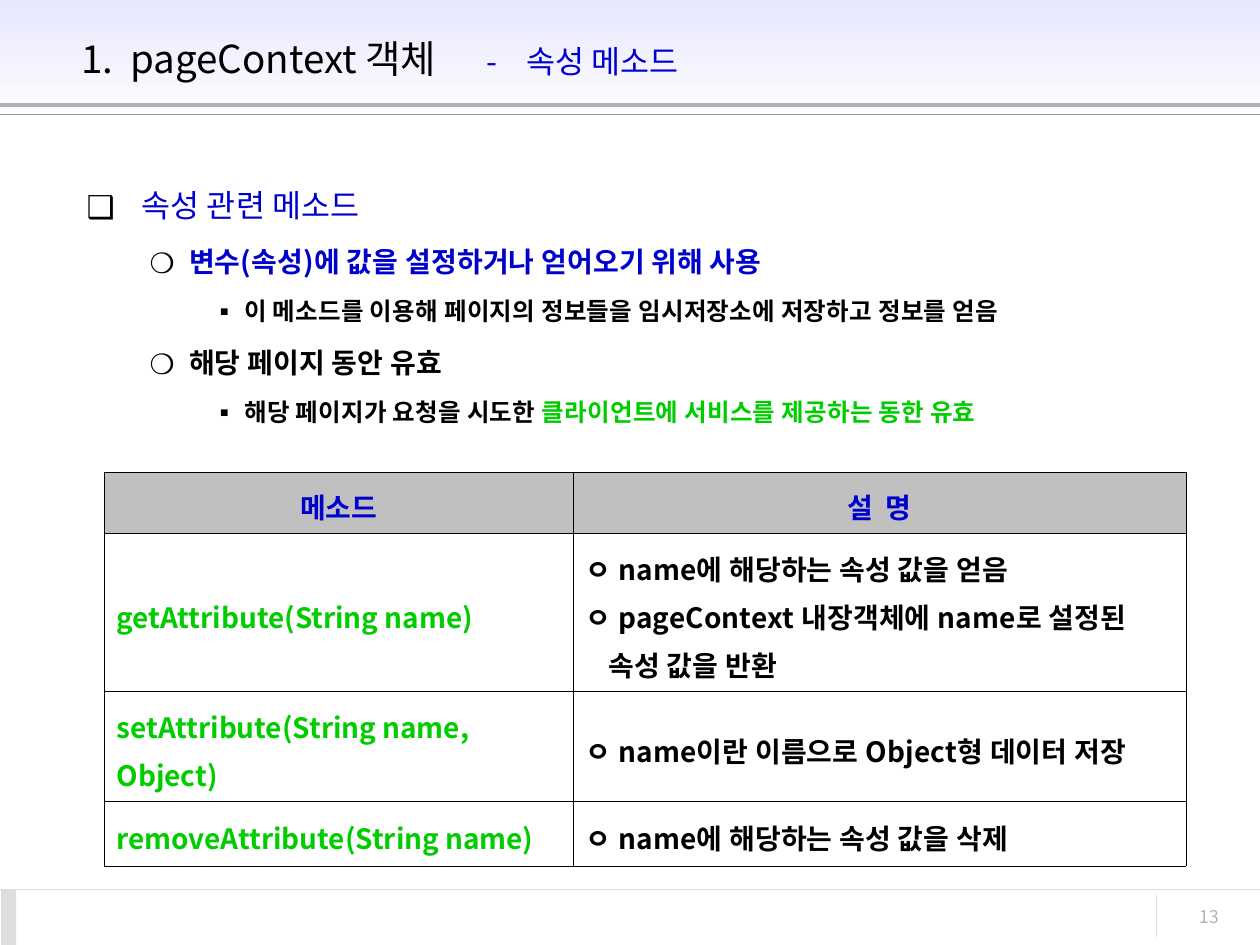
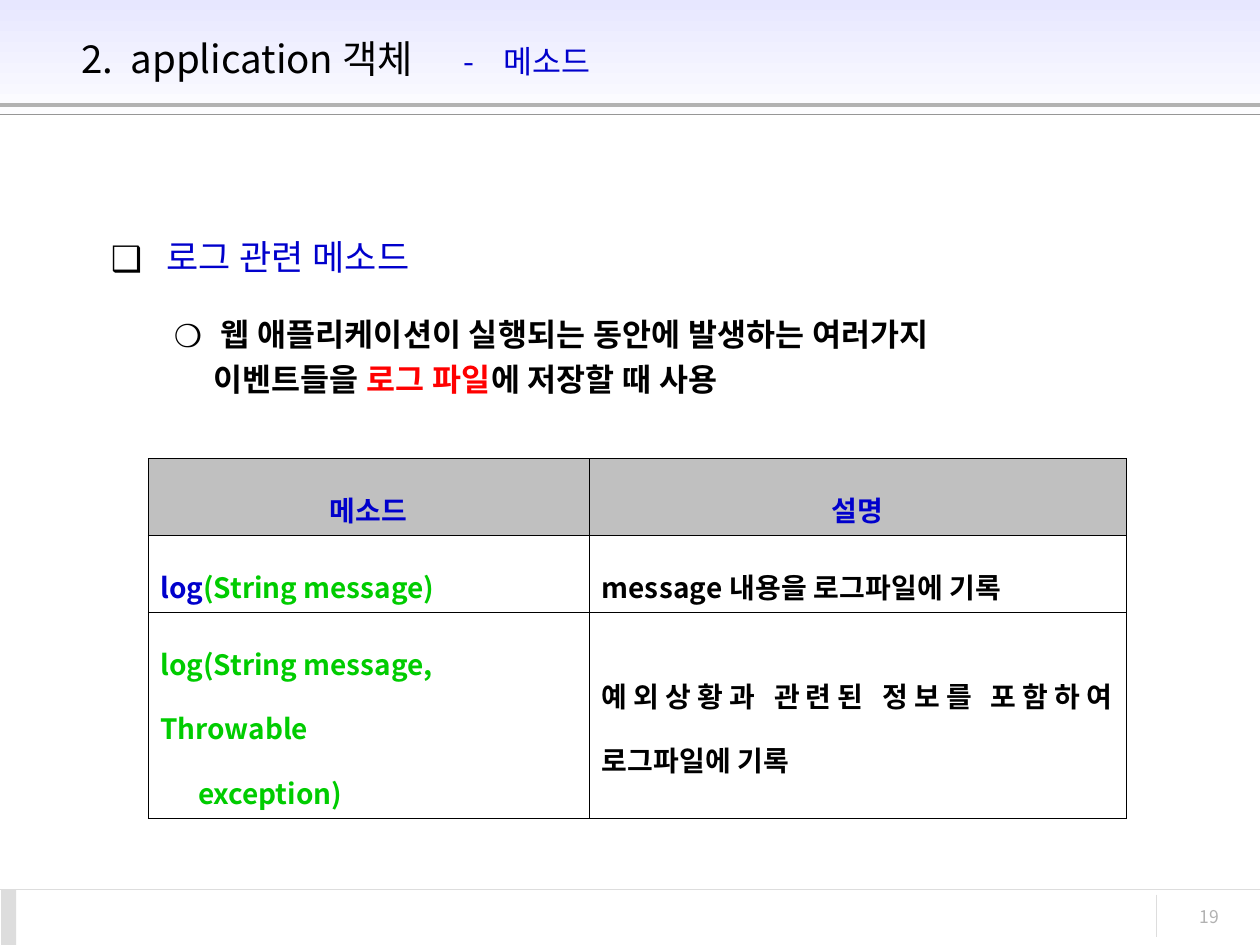
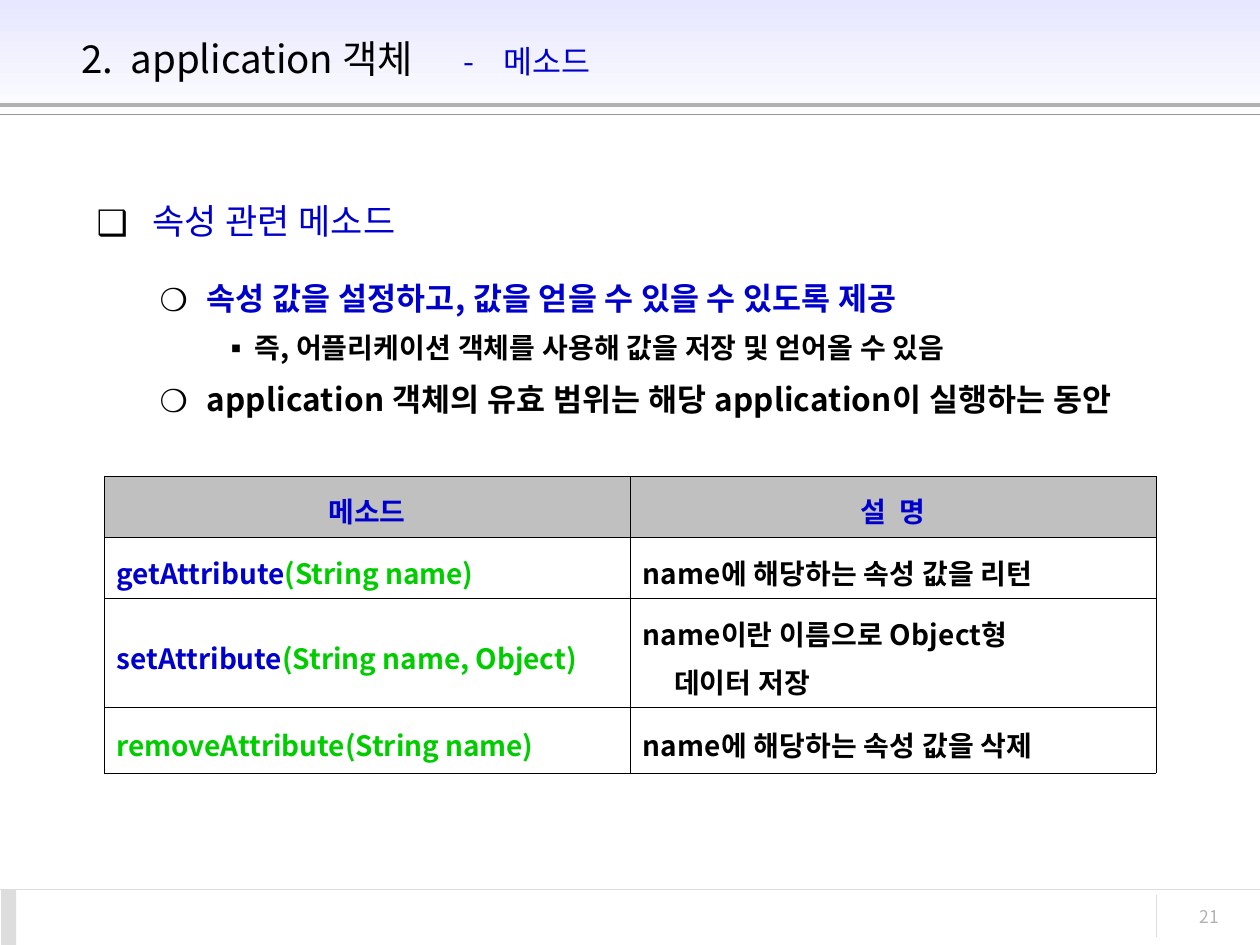
from lxml import etree
from pptx import Presentation
from pptx.dml.color import RGBColor
from pptx.enum.shapes import MSO_CONNECTOR, MSO_SHAPE
from pptx.enum.text import MSO_ANCHOR, PP_ALIGN
from pptx.oxml.ns import qn
from pptx.util import Pt

LEFT, CENTER, RIGHT, JUSTIFY = PP_ALIGN.LEFT, PP_ALIGN.CENTER, PP_ALIGN.RIGHT, PP_ALIGN.JUSTIFY
MIDDLE, TOP = MSO_ANCHOR.MIDDLE, MSO_ANCHOR.TOP
RECTANGLE, STRAIGHT = MSO_SHAPE.RECTANGLE, MSO_CONNECTOR.STRAIGHT

FONT = "Noto Sans CJK KR"
KOREAN_TRACKING = 0.15
COLORS = {
    "black": "000000", "blue": "0000CC", "green": "00CC00", "red": "FF0000",
    "white": "FFFFFF", "lavender": "E7E7FF", "header": "C0C0C0",
    "rule": "B2B2B2", "thin rule": "969696", "footer": "DDDDDD",
}
WIDTH, HEIGHT = 720, 540


def line(*segments, indent=0):
    """One paragraph of a table cell, made of (text, color) segments."""
    return {"segments": segments, "indent": indent}


# Content: outlines hold (level, segments); table rows hold a list of lines per cell
OUTLINE_LEVELS = [
    {"bullet": "❑", "margin": 27, "hanging": 27},
    {"bullet": "❍", "margin": 58.5, "hanging": 22.5},
    {"bullet": "▪", "margin": 90, "hanging": 18},
]
SMALL = {"sizes": (18, 16, 14), "before": (4.5, 4, 3.5), "heading_after": 0, "spacing": 1.4}
LARGE = {"sizes": (20, 18, 16), "before": (5, 4.5, 4), "heading_after": 12.5, "spacing": 1.2}

SLIDES = [
    {
        "number": "13",
        "title": ("1.\tpageContext 객체", "\t-\t속성 메소드"),
        "dash_tab": 231.5,
        "outline_box": (42.5, 94.3, 618, 372),
        "style": SMALL,
        "outline": [
            (0, [(" 속성 관련 메소드", "blue")]),
            (1, [("변수(속성)에 값을 설정하거나 얻어오기 위해 사용", "blue")]),
            (2, [("이 메소드를 이용해 페이지의 정보들을 임시저장소에 저장하고 정보를 얻음", "black")]),
            (1, [("해당 페이지 동안 유효", "black")]),
            (2, [("해당 페이지가 요청을 시도한 ", "black"),
                 ("클라이언트에 서비스를 제공하는 동한 유효", "green")]),
        ],
        "table_at": (59.5, 269.8),
        "columns": (268, 350),
        "row_heights": (35, 90.3, 62.7, 37.3),
        "cell_spacing": 1.2,
        "headers": ("메소드", "설  명"),
        "rows": [
            ([line(("getAttribute(String name)", "green"))],
             [line(("ㅇ name에 해당하는 속성 값을 얻음", "black")),
              line(("ㅇ pageContext 내장객체에 name로 설정된", "black")),
              line(("속성 값을 반환", "black"), indent=13)]),
            ([line(("setAttribute(String name, Object)", "green"))],
             [line(("ㅇ name이란 이름으로 Object형 데이터 저장", "black"))]),
            ([line(("removeAttribute(String name)", "green"))],
             [line(("ㅇ name에 해당하는 속성 값을 삭제", "black"))]),
        ],
    },
    {
        "number": "19",
        "title": ("2.\tapplication 객체", "\t-\t메소드"),
        "dash_tab": 218.3,
        "outline_box": (56.2, 126.3, 624, 356),
        "style": LARGE,
        "outline": [
            (0, [(" 로그 관련 메소드", "blue")]),
            (1, [(" 웹 애플리케이션이 실행되는 동안에 발생하는 여러가지 \n이벤트들을 ", "black"),
                 ("로그 파일", "red"), ("에 저장할 때 사용", "black")]),
        ],
        "table_at": (84.5, 262),
        "columns": (252, 307),
        "row_heights": (44, 44, 117.7),
        "cell_spacing": 1.6,
        "headers": ("메소드", "설명"),
        "rows": [
            ([line(("log", "blue"), ("(String message)", "green"))],
             [line(("message 내용을 로그파일에 기록", "black"))]),
            ([line(("log(String message, Throwable", "green")),
              line(("exception)", "green"), indent=21.5)],
             [line(("예외상황과 관련된 정보를 포함하여 로그파일에 기록", "black"))]),
        ],
    },
    {
        "number": "21",
        "title": ("2.\tapplication 객체", "\t-\t메소드"),
        "dash_tab": 218.3,
        "outline_box": (48.2, 105.8, 624, 356),
        "style": LARGE,
        "outline": [
            (0, [(" 속성 관련 메소드", "blue")]),
            (1, [(" 속성 값을 설정하고, 값을 얻을 수 있을 수 있도록 제공", "blue")]),
            (2, [("즉, 어플리케이션 객체를 사용해 값을 저장 및 얻어올 수 있음", "black")]),
            (1, [(" application 객체의 유효 범위는 해당 application이 실행하는 동안", "black")]),
        ],
        "table_at": (59.5, 272),
        "columns": (300.5, 300.5),
        "row_heights": (35, 35, 62.3, 37.4),
        "cell_spacing": 1.2,
        "headers": ("메소드", "설  명"),
        "rows": [
            ([line(("getAttribute", "blue"), ("(String name)", "green"))],
             [line(("name에 해당하는 속성 값을 리턴", "black"))]),
            ([line(("setAttribute", "blue"), ("(String name, Object)", "green"))],
             [line(("name이란 이름으로 Object형", "black")),
              line(("데이터 저장", "black"), indent=18)]),
            ([line(("removeAttribute(String name)", "green"))],
             [line(("name에 해당하는 속성 값을 삭제", "black"))]),
        ],
    },
]


# Text and shape helpers
def rgb(name):
    return RGBColor.from_string(COLORS[name])


def add_text(paragraph, text, size=16, color="black", bold=False, tracking=0):
    for index, part in enumerate(text.split("\n")):
        if index:
            paragraph.add_line_break()
        run = paragraph.add_run()
        run.text = part
        run.font.size, run.font.bold, run.font.name = Pt(size), bold, FONT
        run.font.color.rgb = rgb(color)
        properties = run.font._element
        properties.find(qn("a:latin")).addnext(etree.Element(qn("a:ea"), typeface=FONT))
        if tracking:
            properties.set("spc", str(round(tracking * 100)))


def add_paragraphs(text_frame, count):
    for _ in range(count - 1):
        text_frame.add_paragraph()
    return text_frame.paragraphs


def add_text_frame(slide, left, top, width, height, anchor=TOP):
    text_frame = slide.shapes.add_textbox(Pt(left), Pt(top), Pt(width), Pt(height)).text_frame
    text_frame.word_wrap = True
    text_frame.vertical_anchor = anchor
    return text_frame


def add_rectangle(slide, left, top, width, height):
    shape = slide.shapes.add_shape(RECTANGLE, Pt(left), Pt(top), Pt(width), Pt(height))
    shape.shadow.inherit = False
    shape.line.fill.background()
    return shape


def add_rule(slide, start, end, color, weight=0.75):
    connector = slide.shapes.add_connector(STRAIGHT, *(Pt(value) for value in start + end))
    connector.line.color.rgb = rgb(color)
    connector.line.width = Pt(weight)
    etree.SubElement(connector._element.spPr, qn("a:effectLst"))


def set_indent(paragraph, margin, first_line=0):
    properties = paragraph._p.get_or_add_pPr()
    properties.set("marL", str(int(Pt(margin))))
    properties.set("indent", str(int(Pt(first_line))))
    return properties


# Parts shared by all slides
def add_frame(slide, number):
    band = add_rectangle(slide, 0, 0, WIDTH, 72)
    band.fill.gradient()
    band.fill.gradient_angle = 270
    for stop, position, color in zip(band.fill.gradient_stops, (0, 1), ("lavender", "white")):
        stop.position = position
        stop.color.rgb = rgb(color)
    add_rule(slide, (0, 60.2), (WIDTH, 60.2), "rule", 2.25)
    add_rule(slide, (0, 65.6), (WIDTH, 65.6), "thin rule")
    add_rule(slide, (0, 508.2), (WIDTH, 508.2), "footer")
    block = add_rectangle(slide, 0.7, 508.2, 8.5, HEIGHT - 508.2)
    block.fill.solid()
    block.fill.fore_color.rgb = rgb("footer")
    add_rule(slide, (660.8, 511.2), (660.8, 535.5), "footer")
    paragraph = add_text_frame(slide, 637.6, 514, 66, 24).paragraphs[0]
    paragraph.alignment = RIGHT
    add_text(paragraph, number, size=10, color="rule")


def add_title(slide, title, dash_tab):
    paragraph = add_text_frame(slide, 39.6, 8.8, 621.4, 49, anchor=MIDDLE).paragraphs[0]
    tabs = etree.SubElement(paragraph._p.get_or_add_pPr(), qn("a:tabLst"))
    for position in (28, dash_tab, dash_tab + 22.5):
        etree.SubElement(tabs, qn("a:tab"), pos=str(int(Pt(position))), algn="l")
    add_text(paragraph, title[0], size=22)
    add_text(paragraph, title[1], size=18, color="blue")


def add_outline(slide, box, outline, style):
    paragraphs = add_paragraphs(add_text_frame(slide, *box), len(outline))
    for index, (paragraph, (level, segments)) in enumerate(zip(paragraphs, outline)):
        layout = OUTLINE_LEVELS[level]
        properties = set_indent(paragraph, layout["margin"], -layout["hanging"])
        bullet_color = etree.SubElement(properties, qn("a:buClr"))
        etree.SubElement(bullet_color, qn("a:srgbClr"), val=COLORS["black"])
        etree.SubElement(properties, qn("a:buFont"), typeface=FONT)
        etree.SubElement(properties, qn("a:buChar"), char=layout["bullet"])
        paragraph.level = level
        paragraph.line_spacing = style["spacing"]
        if index:
            paragraph.space_before = Pt(style["before"][level])
        if level == 0:
            paragraph.space_after = Pt(style["heading_after"])
        for text, color in segments:
            add_text(paragraph, text, size=style["sizes"][level], color=color,
                     bold=level > 0, tracking=KOREAN_TRACKING)


# Method tables
def add_borders(cell):
    properties = cell._tc.get_or_add_tcPr()
    for index, side in enumerate(("a:lnL", "a:lnR", "a:lnT", "a:lnB")):
        border = etree.Element(qn(side), w=str(int(Pt(0.11))))
        fill = etree.SubElement(border, qn("a:solidFill"))
        etree.SubElement(fill, qn("a:srgbClr"), val=COLORS["black"])
        properties.insert(index, border)


def fill_cell(cell, lines, alignment, spacing, header=False):
    cell.vertical_anchor = MIDDLE
    if header:
        cell.fill.solid()
        cell.fill.fore_color.rgb = rgb("header")
    else:
        cell.fill.background()
    add_borders(cell)
    tracking = KOREAN_TRACKING if alignment == JUSTIFY else 0
    for paragraph, content in zip(add_paragraphs(cell.text_frame, len(lines)), lines):
        set_indent(paragraph, content["indent"])
        paragraph.alignment = alignment
        paragraph.line_spacing = spacing
        for text, color in content["segments"]:
            add_text(paragraph, text, color=color, bold=True, tracking=tracking)


def add_method_table(slide, content):
    columns, heights = content["columns"], content["row_heights"]
    left, top = content["table_at"]
    table = slide.shapes.add_table(len(heights), len(columns), Pt(left), Pt(top),
                                   Pt(sum(columns)), Pt(sum(heights))).table
    table.first_row = table.horz_banding = False
    for column, width in zip(table.columns, columns):
        column.width = Pt(width)
    for row, height in zip(table.rows, heights):
        row.height = Pt(height)
    spacing = content["cell_spacing"]
    for column, header in enumerate(content["headers"]):
        fill_cell(table.cell(0, column), [line((header, "blue"))], CENTER, spacing, header=True)
    for row, cells in enumerate(content["rows"], start=1):
        for column, (lines, alignment) in enumerate(zip(cells, (LEFT, JUSTIFY))):
            fill_cell(table.cell(row, column), lines, alignment, spacing)


def main():
    presentation = Presentation()
    presentation.slide_width, presentation.slide_height = Pt(WIDTH), Pt(HEIGHT)
    for content in SLIDES:
        slide = presentation.slides.add_slide(presentation.slide_layouts[6])
        add_frame(slide, content["number"])
        add_title(slide, content["title"], content["dash_tab"])
        add_outline(slide, content["outline_box"], content["outline"], content["style"])
        add_method_table(slide, content)
    presentation.save("out.pptx")


if __name__ == "__main__":
    main()
